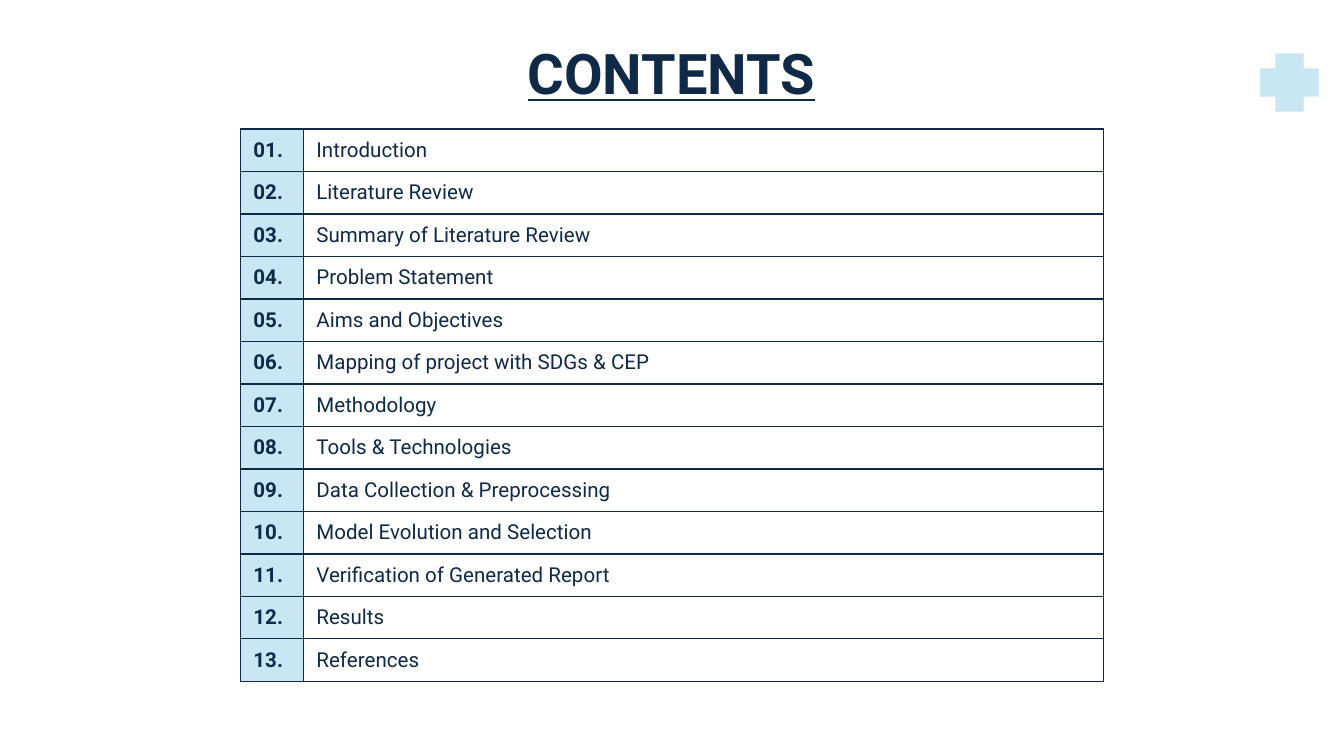
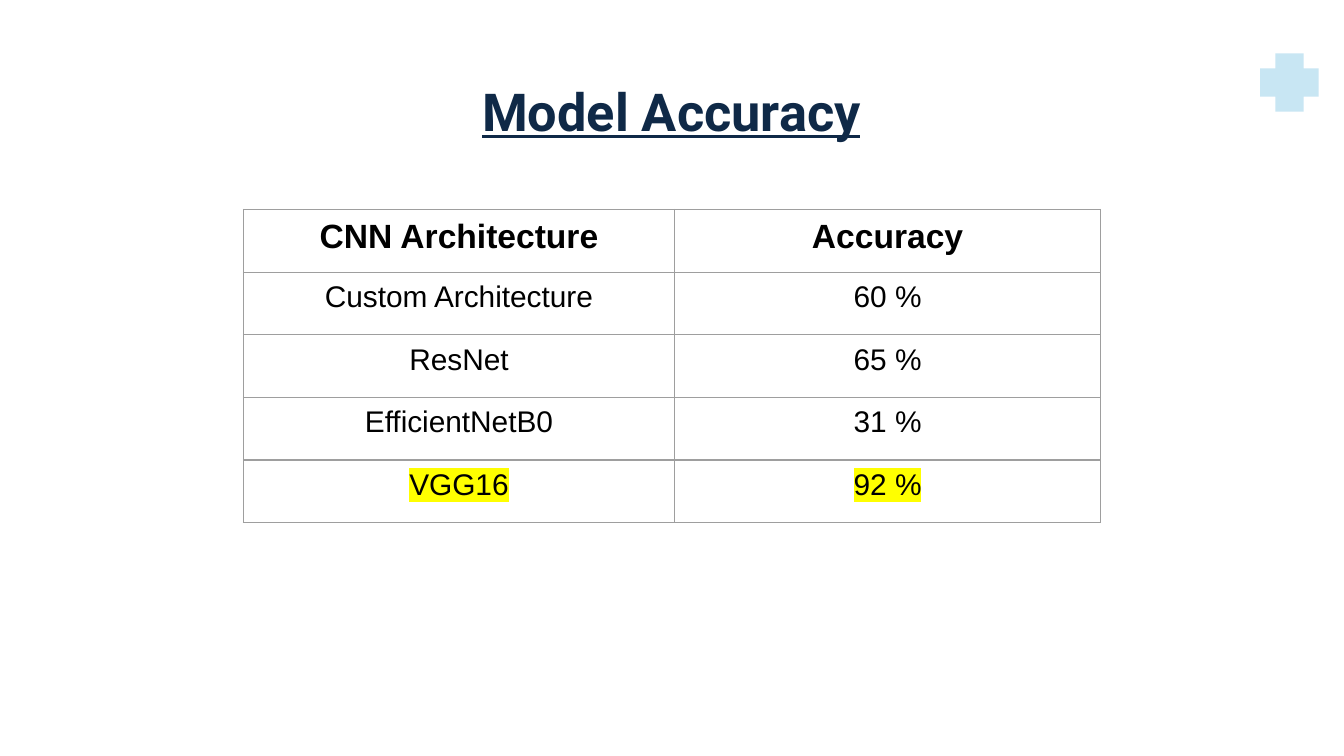
from lxml import etree
from pptx import Presentation
from pptx.dml.color import RGBColor
from pptx.enum.shapes import MSO_SHAPE
from pptx.enum.text import MSO_ANCHOR, PP_ALIGN
from pptx.oxml.ns import qn
from pptx.util import Cm, Pt

PLUS = MSO_SHAPE.MATH_PLUS
TOP, MIDDLE = MSO_ANCHOR.TOP, MSO_ANCHOR.MIDDLE
LEFT, CENTER = PP_ALIGN.LEFT, PP_ALIGN.CENTER
NAVY, SKY, WHITE = "0F2947", "C8E6F3", "FFFFFF"
BLACK, GRAY, YELLOW = "000000", "9E9E9E", "FFFF00"

TOPICS = [
    "Introduction",
    "Literature Review",
    "Summary of Literature Review",
    "Problem Statement",
    "Aims and Objectives",
    "Mapping of project with SDGs & CEP",
    "Methodology",
    "Tools & Technologies",
    "Data Collection & Preprocessing",
    "Model Evolution and Selection",
    "Verification of Generated Report",
    "Results",
    "References",
]
SCORES = [
    ("CNN Architecture", "Accuracy"),
    ("Custom Architecture", "60 %"),
    ("ResNet", "65 %"),
    ("EfficientNetB0", "31 %"),
    ("VGG16", "92 %"),
]


def color(code):
    """Turn a hex string into a colour."""
    return RGBColor.from_string(code)


def apply(target, values):
    """Set each attribute named in a dict."""
    for name, value in values.items():
        setattr(target, name, value)


def write(frame, text, align, hue, style):
    """Put one styled run in a text frame and return it."""
    para = frame.paragraphs[0]
    para.alignment = align
    run = para.add_run()
    run.text = text
    apply(run.font, style)
    run.font.color.rgb = color(hue)
    return run


def mark(run, hue):
    """Highlight a run."""
    fill = run.font._element.find(qn("a:solidFill"))
    light = etree.Element(qn("a:highlight"))
    etree.SubElement(light, qn("a:srgbClr"), val=hue)
    fill.addnext(light)


def border(cell, hue):
    """Draw a thin line on all four sides of a cell."""
    props = cell._tc.get_or_add_tcPr()
    for side in ("lnL", "lnR", "lnT", "lnB"):
        line = etree.SubElement(props, qn(f"a:{side}"), w=str(Pt(0.75)))
        fill = etree.SubElement(line, qn("a:solidFill"))
        etree.SubElement(fill, qn("a:srgbClr"), val=hue)


def add_grid(slide, box, widths, count, line, pads):
    """Add a plain ruled table with equal rows."""
    left, top, width, height = box
    table = slide.shapes.add_table(
        count, len(widths), Cm(left), Cm(top), Cm(width), Cm(height)).table
    apply(table, {"first_row": False, "horz_banding": False})
    for column, size in zip(table.columns, widths):
        column.width = Cm(size)
    for row in table.rows:
        row.height = Cm(height / count)
        for cell in row.cells:
            border(cell, line)
            apply(cell, pads)
            cell.fill.background()
    return table


def add_base(deck, title, top, size):
    """Add a slide with the plus mark and underlined title."""
    slide = deck.slides.add_slide(deck.slide_layouts[6])
    slide.background.fill.solid()
    slide.background.fill.fore_color.rgb = color(WHITE)
    plus = slide.shapes.add_shape(PLUS, Cm(23.62), Cm(0.81), Cm(1.5), Cm(1.5))
    plus.adjustments[0] = 0.356
    plus.shadow.inherit = False
    plus.fill.solid()
    plus.fill.fore_color.rgb = color(SKY)
    plus.line.fill.background()
    frame = slide.shapes.add_textbox(
        Cm(3.61), Cm(top), Cm(18.16), Cm(1.6)).text_frame
    pad = Cm(0.25)
    apply(frame, {"word_wrap": True, "vertical_anchor": TOP,
                  "margin_left": pad, "margin_right": pad,
                  "margin_top": pad, "margin_bottom": pad})
    write(frame, title, CENTER, NAVY, {"name": "Roboto", "size": Pt(size),
                                       "bold": True, "underline": True})
    return slide


def add_topics(slide, box):
    """Fill a box with the numbered list of topics."""
    pads = {"margin_left": Cm(0.25), "margin_right": Cm(0.25),
            "margin_top": 0, "margin_bottom": 0, "vertical_anchor": MIDDLE}
    first = 1.19
    table = add_grid(slide, box, (first, box[2] - first),
                     len(TOPICS), NAVY, pads)
    for index, topic in enumerate(TOPICS):
        parts = ((f"{index + 1:02}.", SKY, True), (topic, WHITE, False))
        for cell, (text, back, bold) in zip(table.rows[index].cells, parts):
            cell.fill.solid()
            cell.fill.fore_color.rgb = color(back)
            write(cell.text_frame, text, LEFT, NAVY,
                  {"name": "Roboto", "size": Pt(11), "bold": bold})


def add_scores(slide, box):
    """Fill a box with the scores, the last row marked."""
    pads = {"margin_left": Cm(0.28), "margin_right": Cm(0.28),
            "margin_top": Cm(0.16), "margin_bottom": Cm(0.16),
            "vertical_anchor": TOP}
    first = 8.15
    table = add_grid(slide, box, (first, box[2] - first),
                     len(SCORES), GRAY, pads)
    for index, score in enumerate(SCORES):
        head = index == 0
        style = {"name": "Arial", "size": Pt(18 if head else 16), "bold": head}
        for cell, text in zip(table.rows[index].cells, score):
            run = write(cell.text_frame, text, CENTER, BLACK, style)
            if score == SCORES[-1]:
                mark(run, YELLOW)


def main():
    """Build and save the deck."""
    deck = Presentation()
    apply(deck, {"slide_width": Cm(25.4), "slide_height": Cm(14.29)})
    add_topics(add_base(deck, "CONTENTS", 0.48, 30), (4.54, 2.44, 16.32, 10.44))
    add_scores(add_base(deck, "Model Accuracy", 1.24, 28),
               (4.6, 3.96, 16.2, 5.92))
    deck.save("out.pptx")


if __name__ == "__main__":
    main()
